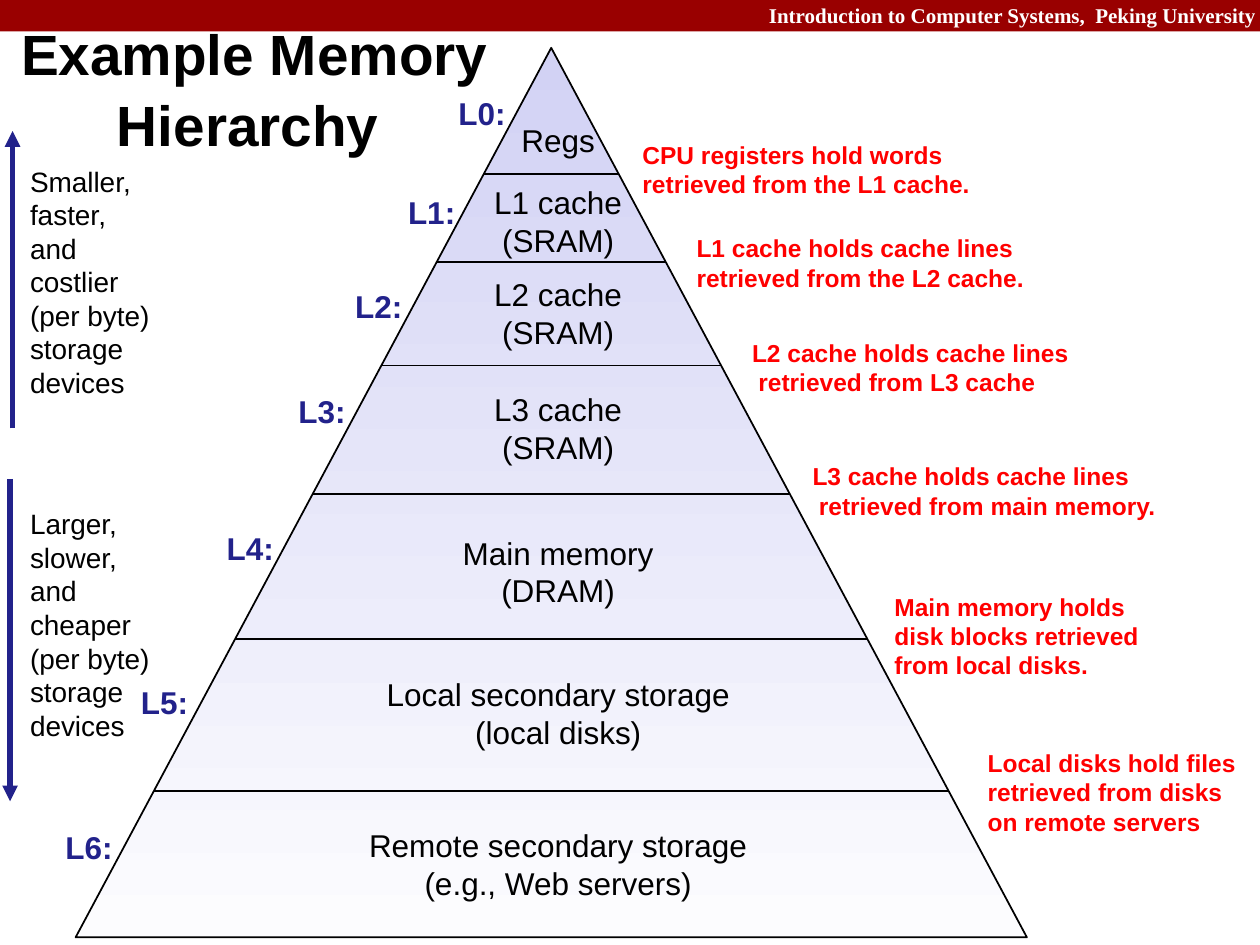
from lxml import etree
from pptx import Presentation, util as u
from pptx.dml.color import RGBColor
from pptx.enum import shapes, text
from pptx.oxml import ns

Inches, Pt = u.Inches, u.Pt

BLACK = RGBColor(0x00, 0x00, 0x00)
WHITE = RGBColor(0xFF, 0xFF, 0xFF)
MAROON = RGBColor(0x99, 0x00, 0x00)
NAVY = RGBColor(0x22, 0x22, 0x8B)
RED = RGBColor(0xFF, 0x00, 0x00)
LAVENDER = RGBColor(0xD2, 0xD2, 0xF4)
PALE = RGBColor(0xFC, 0xFC, 0xFE)

LEFT, CENTER, RIGHT = text.PP_ALIGN.LEFT, text.PP_ALIGN.CENTER, text.PP_ALIGN.RIGHT
MIDDLE, TOP = text.MSO_ANCHOR.MIDDLE, text.MSO_ANCHOR.TOP

PYRAMID = (0.6, 0.38, 7.55, 7.06)
NAME_CENTER = 4.43

# name lines, name width, name top, label left, label top, bottom edge
LEVELS = [
    (["Regs"], 0.79, 0.91, 3.54, 0.70, 1.38),
    (["L1 cache", "(SRAM)"], 1.23, 1.40, 3.14, 1.48, 2.08),
    (["L2 cache", "(SRAM)"], 1.23, 2.13, 2.72, 2.23, 2.90),
    (["L3 cache", "(SRAM)"], 1.23, 3.04, 2.27, 3.06, 3.92),
    (["Main memory", "(DRAM)"], 1.73, 4.18, 1.70, 4.15, 5.07),
    (["Local secondary storage", "(local disks)"], 2.95, 5.30, 1.02, 5.37, 6.28),
    (["Remote secondary storage", "(e.g., Web servers)"], 3.23, 6.50, 0.42, 6.52, None),
]

# box, paragraphs, indent of the second paragraph
NOTES = [
    ((5.00, 1.06, 3.19, 0.57), ["CPU registers hold words retrieved from the L1 cache."], 0),
    ((5.43, 1.80, 3.10, 0.57), ["L1 cache holds cache lines retrieved from the L2 cache."], 0),
    ((5.87, 2.63, 2.88, 0.57), ["L2 cache holds cache lines", "retrieved from L3 cache"], 0.05),
    ((6.35, 3.61, 3.15, 0.57), ["L3 cache holds cache lines", "retrieved from main memory."], 0.05),
    ((7.00, 4.64, 2.39, 0.81), ["Main memory holds disk blocks retrieved from local disks."], 0),
    ((7.74, 5.88, 2.26, 0.81), ["Local disks hold files retrieved from disks", "on remote servers"], 0),
]

# text top, first words, cost word, arrow x, arrow start, arrow end
TRENDS = [
    (1.24, ["Smaller,", "faster,"], "costlier", 0.10, 3.40, 1.04),
    (3.96, ["Larger,", "slower,"], "cheaper", 0.08, 3.80, 6.36),
]


class Painter:
    def __init__(self, s, font="Arial"):
        self.s = s
        self.font = font

    def shape(self, kind, box):
        sp = self.s.shapes.add_shape(kind, *map(Inches, box))
        sp.shadow.inherit = False
        return sp

    def band(self, box, color):
        sp = self.shape(shapes.MSO_SHAPE.RECTANGLE, box)
        sp.fill.solid()
        sp.fill.fore_color.rgb = color
        sp.line.fill.background()

    def pyramid(self, box):
        sp = self.shape(shapes.MSO_SHAPE.ISOSCELES_TRIANGLE, box)
        sp.fill.gradient()
        sp.fill.gradient_angle = 90
        for stop, (position, color) in zip(sp.fill.gradient_stops, [(0, PALE), (1, LAVENDER)]):
            stop.position = position
            stop.color.rgb = color
        sp.line.color.rgb = BLACK
        sp.line.width = Pt(1)

    def line(self, x1, y1, x2, y2, color=BLACK, width=1, arrow=False):
        c = self.s.shapes.add_connector(
            shapes.MSO_CONNECTOR.STRAIGHT, *map(Inches, (x1, y1, x2, y2)))
        c.line.color.rgb = color
        c.line.width = Pt(width)
        if arrow:
            etree.SubElement(c.line._get_or_add_ln(), ns.qn("a:tailEnd"), type="triangle")
        etree.SubElement(c._element.spPr, ns.qn("a:effectLst"))

    def text(self, box, lines, size, color=BLACK, bold=False, align=LEFT, anchor=MIDDLE,
             wrap=False, grow=True, indent=0, gap=0, font=None):
        """Add one paragraph per line; indent and gap apply after the first."""
        tf = self.s.shapes.add_textbox(*map(Inches, box)).text_frame
        tf.word_wrap = wrap
        tf.vertical_anchor = anchor
        tf.auto_size = (text.MSO_AUTO_SIZE.SHAPE_TO_FIT_TEXT if grow
                        else text.MSO_AUTO_SIZE.NONE)
        for i, words in enumerate(lines):
            p = tf.paragraphs[0] if i == 0 else tf.add_paragraph()
            p.alignment = align
            if i and indent:
                p._p.get_or_add_pPr().set("marL", str(Inches(indent)))
            if i and gap:
                p.space_before = Pt(gap)
            r = p.add_run()
            r.text = words
            r.font.name = font or self.font
            r.font.size = Pt(size)
            r.font.bold = bold
            r.font.color.rgb = color


def main():
    prs = Presentation()
    prs.slide_width, prs.slide_height = Inches(10), Inches(7.5)
    d = Painter(prs.slides.add_slide(prs.slide_layouts[6]))

    d.band((0, 0, 10, 0.25), MAROON)
    d.text((6, -0.03, 4.07, 0.3), ["Introduction to Computer Systems,  Peking University"], 12,
           WHITE, bold=True, align=RIGHT, anchor=TOP, wrap=True, font="Times New Roman")
    d.text((0.07, 0.27, 9.53, 0.86), ["Example Memory", "Hierarchy"], 32.4, bold=True,
           wrap=True, grow=False, indent=0.76, gap=1.6)

    d.pyramid(PYRAMID)
    left, top, width, height = PYRAMID
    apex = left + width / 2
    for i, (name, w, y, label_x, label_y, edge) in enumerate(LEVELS):
        d.text((NAME_CENTER - w / 2, y, w, 0.4 if len(name) == 1 else 0.71), name, 18,
               align=CENTER)
        d.text((label_x, label_y, 0.58, 0.4), [f"L{i}:"], 18, NAVY, bold=True)
        if edge:
            half = (edge - top) * width / height / 2
            d.line(apex - half, edge, apex + half, edge)

    for box, lines, indent in NOTES:
        d.text(box, lines, 14, RED, bold=True, wrap=True, indent=indent)

    for y, qualities, cost, x, start, end in TRENDS:
        d.text((0.14, y, 1.16, 1.99),
               qualities + ["and", cost, "(per byte)", "storage", "devices"], 16)
        d.line(x, start, x, end, NAVY, 3, arrow=True)

    prs.save("out.pptx")


if __name__ == "__main__":
    main()
